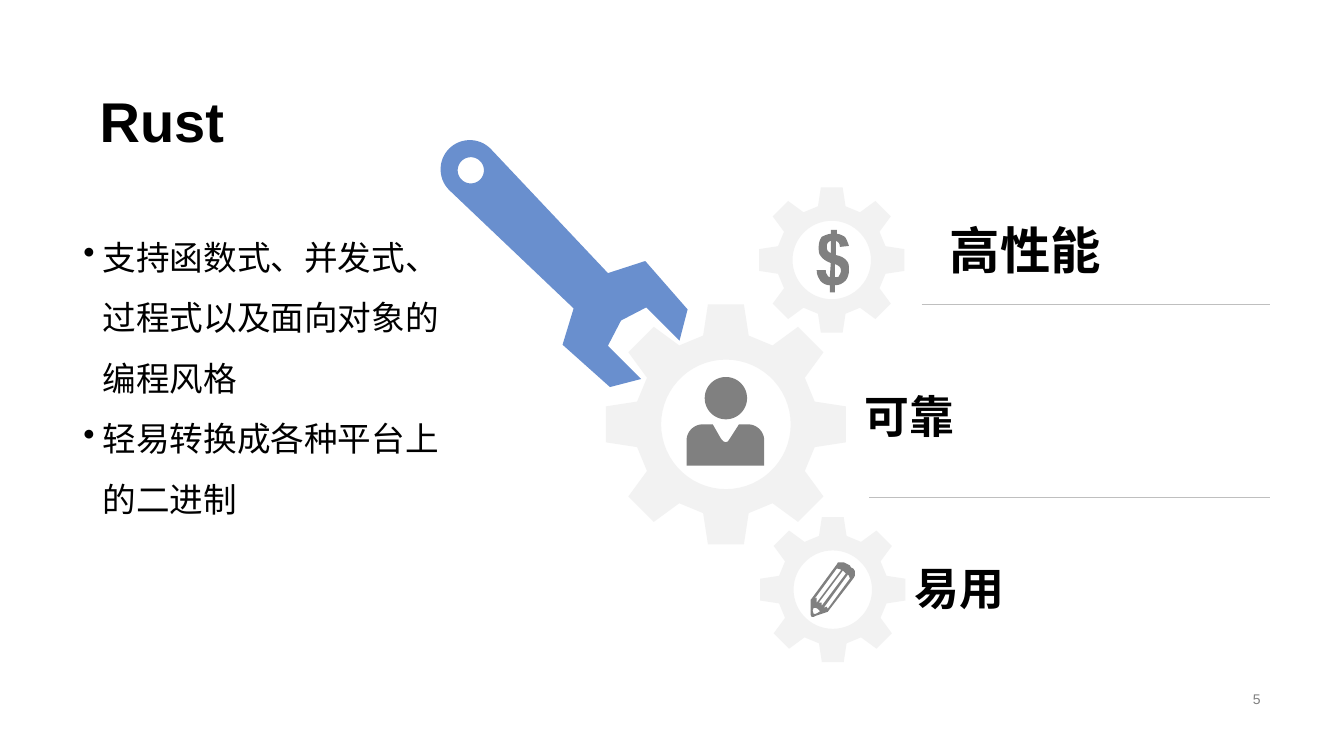
import math

import pptx
import pptx.dml.color
import pptx.enum.shapes
import pptx.enum.text
import pptx.util
from lxml import etree

RGBColor = pptx.dml.color.RGBColor
Inches = pptx.util.Inches
Pt = pptx.util.Pt
ANCHOR = pptx.enum.text.MSO_ANCHOR
ALIGN = pptx.enum.text.PP_ALIGN

BLACK = RGBColor(0x00, 0x00, 0x00)
WHITE = RGBColor(0xFF, 0xFF, 0xFF)
GREY = RGBColor(0x80, 0x80, 0x80)
RULE_GREY = RGBColor(0xBF, 0xBF, 0xBF)
GEAR_GREY = RGBColor(0xF2, 0xF2, 0xF2)
WRENCH_BLUE = RGBColor(0x69, 0x8F, 0xCE)

TITLE = "Rust"
PAGE = "5"
FEATURES = ["支持函数式、并发式、过程式以及面向对象的编程风格", "轻易转换成各种平台上的二进制"]
# text, left, top, size
QUALITIES = [("高性能", 9.32, 2.34, 36), ("可靠", 8.48, 3.96, 32), ("易用", 8.97, 5.67, 32)]
RULE_END = 12.6
RULES = [(9.14, 3.02), (8.62, 4.93)]  # start, height on the slide

# centre and outer radius
COST_GEAR = (8.25, 2.58, 0.72)
USER_GEAR = (7.2, 4.21, 1.19)
EDIT_GEAR = (8.26, 5.85, 0.72)
TEETH = 8
# one tooth, as shares of the radius: distance from the centre, sideways
TOOTH = [(0.74, -0.19), (1, -0.15), (1, 0.15), (0.74, 0.19)]
HUB = 0.54


def arc(x, y, radius, start=0, end=360):
    """Points along an arc, angles in degrees clockwise from the right."""
    steps = max(8, abs(end - start) // 6)
    angles = [math.radians(start + (end - start) * i / steps) for i in range(steps + 1)]
    return [(x + radius * math.cos(a), y + radius * math.sin(a)) for a in angles]


def flatten(outline):
    """Turn pairs (points) and sixes (cubic curves) into points."""
    points = []
    for step in outline:
        if len(step) == 2:
            points.append(step)
            continue
        knots = [points[-1], step[:2], step[2:4], step[4:]]
        for t in (0.25, 0.5, 0.75, 1):
            weights = ((1 - t) ** 3, 3 * t * (1 - t) ** 2, 3 * t * t * (1 - t), t ** 3)
            points.append(tuple(sum(w * k[axis] for w, k in zip(weights, knots)) for axis in (0, 1)))
    return points


# Icons in hundredths of an inch from the centre of their gear
DOLLAR = [
    [(-2, 17), (-1, 3), (-6, 1, -9, -1, -11, -4), (-13, -6, -13, -9, -13, -13),
     (-13, -17, -12, -20, -10, -23), (-8, -24, -4, -26, -1, -26), (-1, -30), (5, -30), (5, -26),
     (8, -26, 11, -24, 13, -23), (15, -20, 16, -17, 17, -14), (8, -13), (8, -16, 7, -18, 4, -19),
     (4, -5), (9, -4, 13, -2, 15, 1), (17, 3, 17, 6, 17, 10), (17, 14, 16, 17, 14, 20),
     (11, 23, 8, 25, 3, 25), (3, 32), (-2, 32), (-2, 25), (-6, 25, -9, 23, -11, 21),
     (-13, 18, -15, 15, -15, 10), (-6, 10), (-6, 11, -6, 13, -5, 14), (-4, 16, -3, 17, -2, 17)],
    [(-1, -19), (-2, -19, -3, -18, -4, -17), (-5, -15, -5, -15, -5, -13),
     (-5, -12, -5, -11, -4, -9), (-4, -9, -2, -7, -1, -7)],
    [(3, 17), (5, 17, 7, 17, 7, 16), (8, 14, 9, 13, 9, 11), (9, 10, 9, 8, 8, 7), (7, 6, 6, 5, 3, 4)],
]
PERSON = [
    arc(0, -26, 21),
    arc(-23, 16, 16, 180, 270)
    + [(-13, 0), (-5, 14), (-2, 19, 2, 19, 4, 14), (13, 0)]
    + arc(22, 16, 16, 270, 360)
    + [(38, 41), (-39, 41)],
]
PENCIL = [
    [(17, -24), (15, -25), (11, -27), (5, -27), (4, -25), (1, -21), (-21, 9), (-22, 10),
     (-22, 25), (-21, 27), (-19, 27), (-17, 26), (-5, 22), (18, -8), (21, -12), (22, -14),
     (22, -18), (21, -20), (20, -21), (18, -22)],
    [(-5, 19), (-6, 17), (-9, 18), (15, -15), (16, -14), (17, -11)],
    [(-13, 22), (-17, 24), (-19, 24), (-20, 21), (-19, 18), (-17, 18), (-15, 19), (-13, 21)],
    [(4, -21), (8, -20), (8, -19), (-16, 13), (-16, 8), (-18, 9)],
    [(-11, 16), (-11, 13), (-14, 13), (10, -19), (12, -17), (13, -16)],
]
WRENCH = [
    [(6.36, 3.76), (6.05, 3.84), (5.58, 3.42), (5.69, 3.06)]
    + arc(4.66, 1.68, 0.29, 135, 315)
    + [(6.03, 2.71), (6.4, 2.59), (6.82, 3.07), (6.74, 3.38), (6.41, 3.05), (6.16, 3.18), (6.03, 3.43)],
    arc(4.67, 1.69, 0.13),
]


def add_outline(slide, contours, colour):
    """Draw closed contours as one shape; inner contours become holes."""
    scaled = [[(Inches(x), Inches(y)) for x, y in flatten(contour)] for contour in contours]
    builder = slide.shapes.build_freeform(*scaled[0][0], scale=1.0)
    for index, points in enumerate(scaled):
        if index:
            builder.move_to(*points[0])
        builder.add_line_segments(points[1:], close=True)
    shape = builder.convert_to_shape()
    shape.shadow.inherit = False
    shape.fill.solid()
    shape.fill.fore_color.rgb = colour
    shape.line.fill.background()


def add_gear(slide, x, y, radius):
    rim = []
    for tooth in range(TEETH):
        turn = 2 * math.pi * tooth / TEETH
        for out, side in TOOTH:
            rim.append((x + radius * (out * math.cos(turn) - side * math.sin(turn)),
                        y + radius * (out * math.sin(turn) + side * math.cos(turn))))
    add_outline(slide, [rim, arc(x, y, radius * HUB)], GEAR_GREY)


def add_icon(slide, gear, icon):
    x, y, _ = gear
    contours = [[(x + px / 100, y + py / 100) for px, py in flatten(contour)] for contour in icon]
    add_outline(slide, contours, GREY)


def add_text(slide, box, lines, size, colour=BLACK, bold=False, anchor=ANCHOR.BOTTOM,
             align=ALIGN.LEFT, spacing=1.0, bullet=False):
    frame = slide.shapes.add_textbox(*map(Inches, box)).text_frame
    frame.word_wrap = True
    frame.vertical_anchor = anchor
    for index, line in enumerate(lines):
        paragraph = frame.add_paragraph() if index else frame.paragraphs[0]
        paragraph.alignment = align
        paragraph.line_spacing = spacing
        if bullet:
            properties = paragraph._p.get_or_add_pPr()
            properties.set("marL", str(Inches(0.19)))
            properties.set("indent", str(-Inches(0.19)))
            mark = etree.SubElement(properties, pptx.oxml.ns.qn("a:buChar"))
            mark.set("char", "•")
        run = paragraph.add_run()
        run.text = line
        run.font.name = "Arial"
        run.font.size = Pt(size)
        run.font.bold = bold
        run.font.color.rgb = colour


def add_rule(slide, start, y):
    rule = slide.shapes.add_connector(pptx.enum.shapes.MSO_CONNECTOR.STRAIGHT,
                                      Inches(start), Inches(y), Inches(RULE_END), Inches(y))
    rule.line.color.rgb = RULE_GREY
    rule.line.width = Pt(0.25)
    etree.SubElement(rule._element.spPr, pptx.oxml.ns.qn("a:effectLst"))


def main():
    deck = pptx.Presentation()
    deck.slide_width, deck.slide_height = Inches(13.33), Inches(7.5)
    slide = deck.slides.add_slide(deck.slide_layouts[6])
    slide.background.fill.solid()
    slide.background.fill.fore_color.rgb = WHITE

    add_text(slide, (0.89, 0.46, 11.87, 1.12), [TITLE], 40, bold=True, spacing=0.9)
    add_text(slide, (9.42, 6.82, 3.18, 0.23), [PAGE], 10, GREY, anchor=ANCHOR.MIDDLE, align=ALIGN.RIGHT)
    for gear in (EDIT_GEAR, COST_GEAR, USER_GEAR):
        add_gear(slide, *gear)
    add_icon(slide, USER_GEAR, PERSON)
    add_outline(slide, WRENCH, WRENCH_BLUE)
    add_icon(slide, COST_GEAR, DOLLAR)
    add_icon(slide, EDIT_GEAR, PENCIL)
    add_text(slide, (0.73, 2.1, 3.93, 3.28), FEATURES, 24, anchor=ANCHOR.TOP, spacing=1.5, bullet=True)
    for quality, left, top, size in QUALITIES:
        add_text(slide, (left, top, 3.27, 0.48), [quality], size, bold=True)
    for start, y in RULES:
        add_rule(slide, start, y)
    deck.save("out.pptx")


if __name__ == "__main__":
    main()
